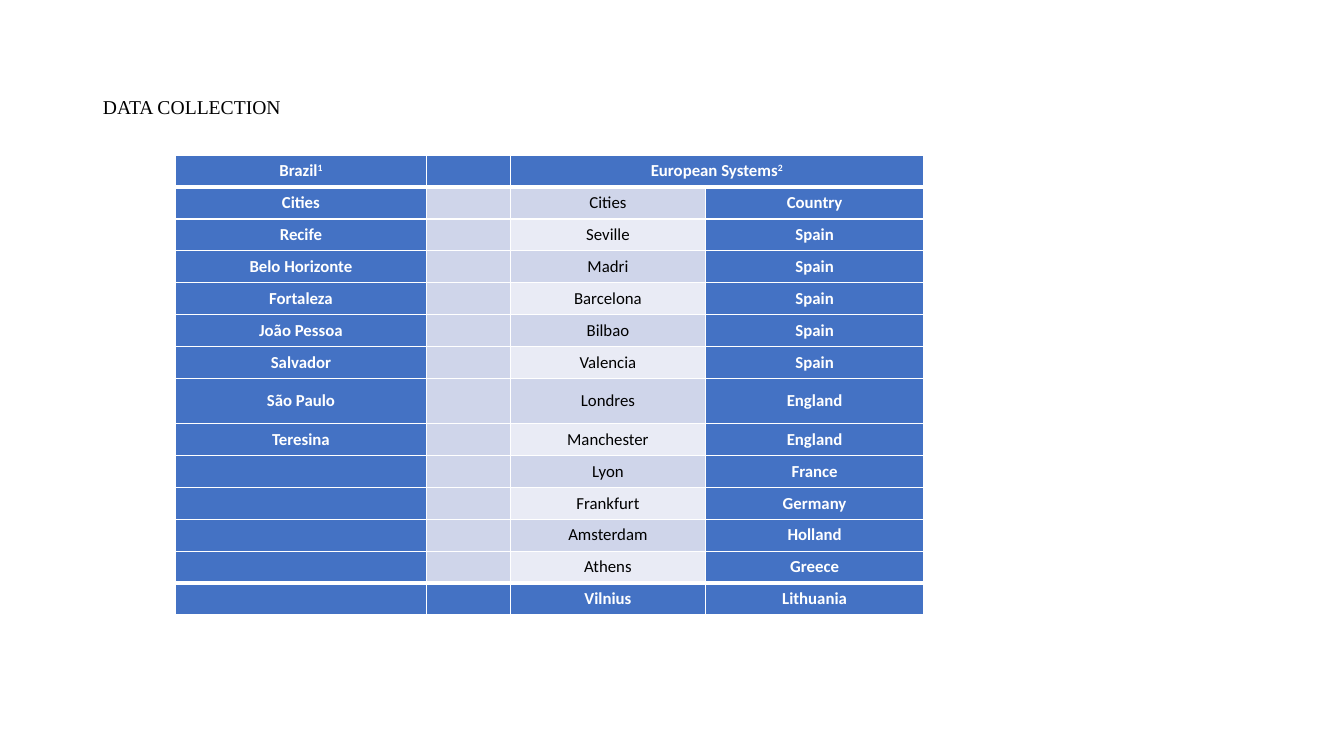
"""Build the data collection slide with its table of Brazilian and European cities."""
from lxml.etree import SubElement
from pptx import Presentation
from pptx.dml.color import RGBColor
from pptx.enum.text import MSO_ANCHOR, PP_ALIGN
from pptx.oxml.ns import qn
from pptx.util import Inches, Pt

BLUE, BAND_DARK, BAND_LIGHT = "4472C4", "CFD5EA", "E9EBF5"
WHITE, BLACK = "FFFFFF", "000000"


def paint(color_format, color):
    color_format.rgb = RGBColor.from_string(color)


def add_borders(cell, top, bottom):
    properties = cell._tc.get_or_add_tcPr()
    for side, points in (("L", 1), ("R", 1), ("T", top), ("B", bottom)):
        line = SubElement(properties, qn(f"a:ln{side}"), w=str(Pt(points)))
        SubElement(SubElement(line, qn("a:solidFill")), qn("a:srgbClr"), val=WHITE)


presentation = Presentation()
presentation.slide_width = Inches(13.33)
presentation.slide_height = Inches(7.5)
slide = presentation.slides.add_slide(presentation.slide_layouts[5])

title = slide.shapes.title
title.left, title.top = Inches(0.92), Inches(0.35)
title.width, title.height = Inches(11.5), Inches(1.45)
title.text_frame.text = "DATA COLLECTION"
title.text_frame.vertical_anchor = MSO_ANCHOR.MIDDLE
paragraph = title.text_frame.paragraphs[0]
paragraph.alignment = PP_ALIGN.LEFT
paragraph.line_spacing = 0.9
paragraph.font.name = "Times New Roman"
paragraph.font.size = Pt(14)
paint(paragraph.font.color, BLACK)

city_rows = [
    ("Brazil", "", "European Systems", ""),
    ("Cities", "", "Cities", "Country"),
    ("Recife", "", "Seville", "Spain"),
    ("Belo Horizonte", "", "Madri", "Spain"),
    ("Fortaleza", "", "Barcelona", "Spain"),
    ("João Pessoa", "", "Bilbao", "Spain"),
    ("Salvador", "", "Valencia", "Spain"),
    ("São Paulo", "", "Londres", "England"),
    ("Teresina", "", "Manchester", "England"),
    ("", "", "Lyon", "France"),
    ("", "", "Frankfurt", "Germany"),
    ("", "", "Amsterdam", "Holland"),
    ("", "", "Athens", "Greece"),
    ("", "", "Vilnius", "Lithuania"),
]
footnotes = {(0, 0): "1", (0, 2): "2"}
last_row = len(city_rows) - 1
table_height, tall_height = 4.56, 0.45
row_height = (table_height - tall_height) / last_row

table = slide.shapes.add_table(
    len(city_rows), 4, Inches(1.74), Inches(1.54), Inches(7.43), Inches(table_height)
).table
for column, width in zip(table.columns, (2.49, 0.83, 1.94, 2.16)):
    column.width = Inches(width)

for row_index, texts in enumerate(city_rows):
    is_tall = texts[0] == "São Paulo"
    table.rows[row_index].height = Inches(tall_height if is_tall else row_height)
    for column_index, text in enumerate(texts):
        cell = table.cell(row_index, column_index)
        is_blue = row_index in (0, last_row) or column_index in (0, 3)
        is_light = column_index == 2 and row_index % 2 == 0
        add_borders(
            cell,
            top=3 if row_index in (1, last_row) else 1,
            bottom=3 if row_index in (0, last_row - 1) else 1,
        )
        cell.fill.solid()
        paint(cell.fill.fore_color, BLUE if is_blue else BAND_LIGHT if is_light else BAND_DARK)
        cell.vertical_anchor = MSO_ANCHOR.MIDDLE
        cell.margin_left = cell.margin_right = Inches(0.07)
        cell.margin_top = cell.margin_bottom = 0
        paragraph = cell.text_frame.paragraphs[0]
        paragraph.alignment = PP_ALIGN.CENTER
        paragraph.font.name = "Calibri"
        paragraph.font.size = Pt(12)
        paragraph.font.bold = is_blue
        paint(paragraph.font.color, WHITE if is_blue else BLACK)
        if text:
            paragraph.add_run().text = text
        if (row_index, column_index) in footnotes:
            footnote = paragraph.add_run()
            footnote.text = footnotes[row_index, column_index]
            footnote._r.get_or_add_rPr().set("baseline", "30000")

table.cell(0, 2).merge(table.cell(0, 3))

presentation.save("out.pptx")
